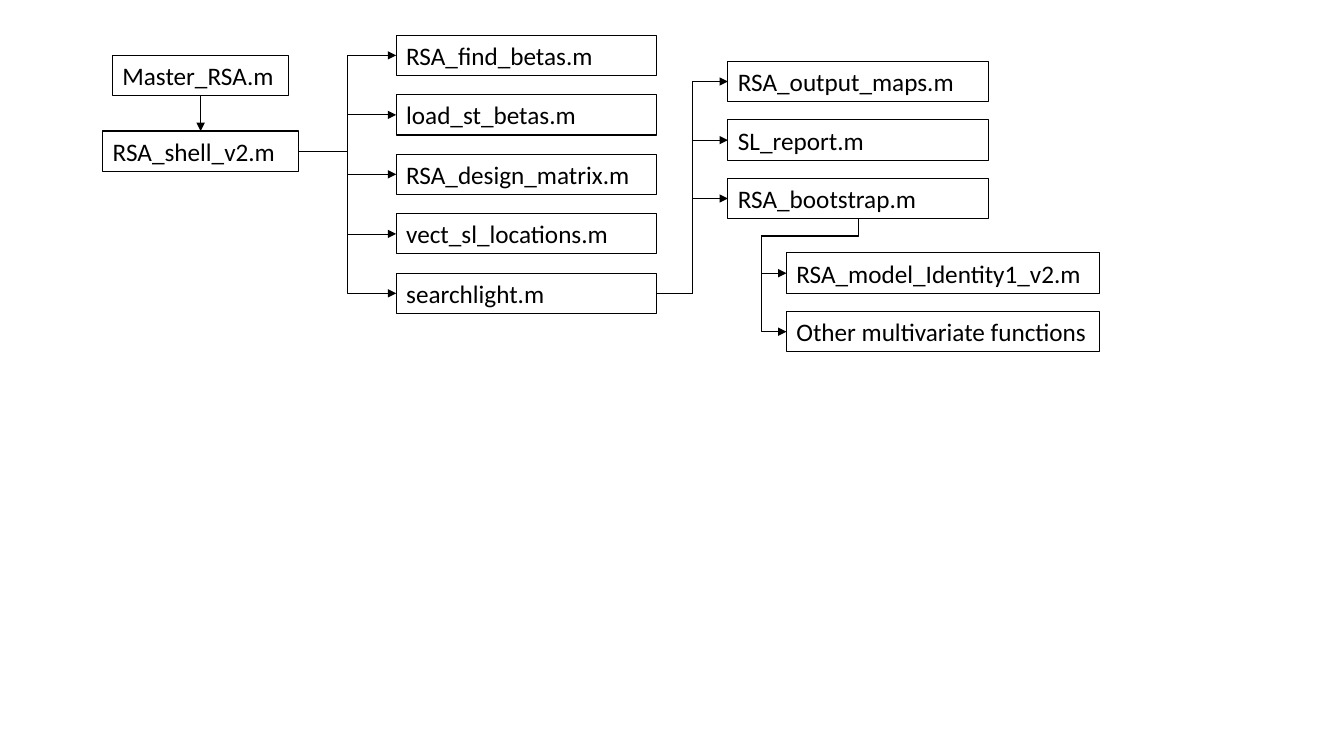
from dataclasses import dataclass

from lxml import etree
from pptx import Presentation
from pptx.dml.color import RGBColor
from pptx.enum.shapes import MSO_CONNECTOR, MSO_SHAPE
from pptx.enum.text import MSO_ANCHOR, PP_ALIGN
from pptx.oxml.ns import qn
from pptx.util import Inches, Pt

RECTANGLE = MSO_SHAPE.RECTANGLE
STRAIGHT, ELBOW = MSO_CONNECTOR.STRAIGHT, MSO_CONNECTOR.ELBOW
LEFT_ALIGN, MIDDLE = PP_ALIGN.LEFT, MSO_ANCHOR.MIDDLE
TOP, LEFT, BOTTOM, RIGHT = range(4)  # connection sites of a rectangle

COLORS = {"ink": "000000"}
FONT = "Calibri"
ROW_HEIGHT = 0.4
BRANCH_DROP = 0.17
BRANCH_OVERHANG = 0.25


@dataclass(frozen=True)
class Column:
    """Equal boxes stacked at a fixed pitch, in inches."""
    left: float
    top: float
    width: float
    pitch: float
    labels: tuple[str, ...]


MASTER = Column(1.11, 0.55, 1.75, 0, ("Master_RSA.m",))
SHELL = Column(1.02, 1.3, 1.94, 0, ("RSA_shell_v2.m",))
STEPS = Column(3.93, 0.35, 2.58, 0.59, (
    "RSA_find_betas.m", "load_st_betas.m", "RSA_design_matrix.m",
    "vect_sl_locations.m", "searchlight.m"))
SEARCHES = Column(7.22, 0.61, 2.58, 0.58, (
    "RSA_output_maps.m", "SL_report.m", "RSA_bootstrap.m"))
MODELS = Column(7.8, 2.51, 3.11, 0.58, (
    "RSA_model_Identity1_v2.m", "Other multivariate functions"))

presentation = Presentation()
presentation.slide_width = Inches(13.33)
presentation.slide_height = Inches(7.5)
slide = presentation.slides.add_slide(presentation.slide_layouts[6])


def ink() -> RGBColor:
    return RGBColor.from_string(COLORS["ink"])


def draw_box(column: Column, row: int, label: str):
    box = slide.shapes.add_shape(
        RECTANGLE, Inches(column.left), Inches(column.top + row * column.pitch),
        Inches(column.width), Inches(ROW_HEIGHT))
    box.shadow.inherit = False
    box.fill.background()
    box.line.color.rgb = ink()
    box.line.width = Pt(0.75)
    frame = box.text_frame
    frame.word_wrap = False
    frame.vertical_anchor = MIDDLE
    paragraph = frame.paragraphs[0]
    paragraph.alignment = LEFT_ALIGN
    run = paragraph.add_run()
    run.text = label
    run.font.name = FONT
    run.font.size = Pt(18)
    run.font.color.rgb = ink()
    return box


def draw_column(column: Column) -> list:
    return [draw_box(column, row, label) for row, label in enumerate(column.labels)]


def draw_arrow(kind, source, source_site: int, target, target_site: int):
    arrow = slide.shapes.add_connector(kind, 0, 0, 0, 0)
    arrow.begin_connect(source, source_site)
    arrow.end_connect(target, target_site)
    arrow.line.color.rgb = ink()
    arrow.line.width = Pt(0.5)
    etree.SubElement(arrow.line._get_or_add_ln(), qn("a:tailEnd"), type="triangle")
    etree.SubElement(arrow._element.spPr, qn("a:effectLst"))
    return arrow


def draw_branch(source, target) -> None:
    """Leave downwards, pass left of the target and enter its left side."""
    arrow = draw_arrow(ELBOW, source, BOTTOM, target, LEFT)
    across, down = arrow.width, arrow.height
    center_x, center_y = arrow.left + across // 2, arrow.top + down // 2
    # A quarter turn swaps the width and height about the centre
    arrow.left, arrow.top = center_x - down // 2, center_y - across // 2
    arrow.width, arrow.height = down, across
    transform = arrow._element.spPr.find(qn("a:xfrm"))
    transform.attrib.pop("flipH", None)
    transform.set("rot", "5400000")
    geometry = arrow._element.spPr.find(qn("a:prstGeom"))
    geometry.set("prst", "bentConnector4")
    bends = geometry.find(qn("a:avLst"))
    shares = (Inches(BRANCH_DROP) / down, 1 + Inches(BRANCH_OVERHANG) / across)
    for number, share in enumerate(shares, 1):
        etree.SubElement(bends, qn("a:gd"), name=f"adj{number}",
                         fmla=f"val {round(share * 100000)}")


# Boxes
[master] = draw_column(MASTER)
[shell] = draw_column(SHELL)
master.left = shell.left + (shell.width - master.width) // 2
steps = draw_column(STEPS)
searches = draw_column(SEARCHES)
models = draw_column(MODELS)

# Calls between the scripts
draw_arrow(STRAIGHT, master, BOTTOM, shell, TOP)
for caller, callees in ((shell, steps), (steps[-1], searches)):
    for callee in callees:
        draw_arrow(ELBOW, caller, RIGHT, callee, LEFT)
for model in models:
    draw_branch(searches[-1], model)

presentation.save("out.pptx")
